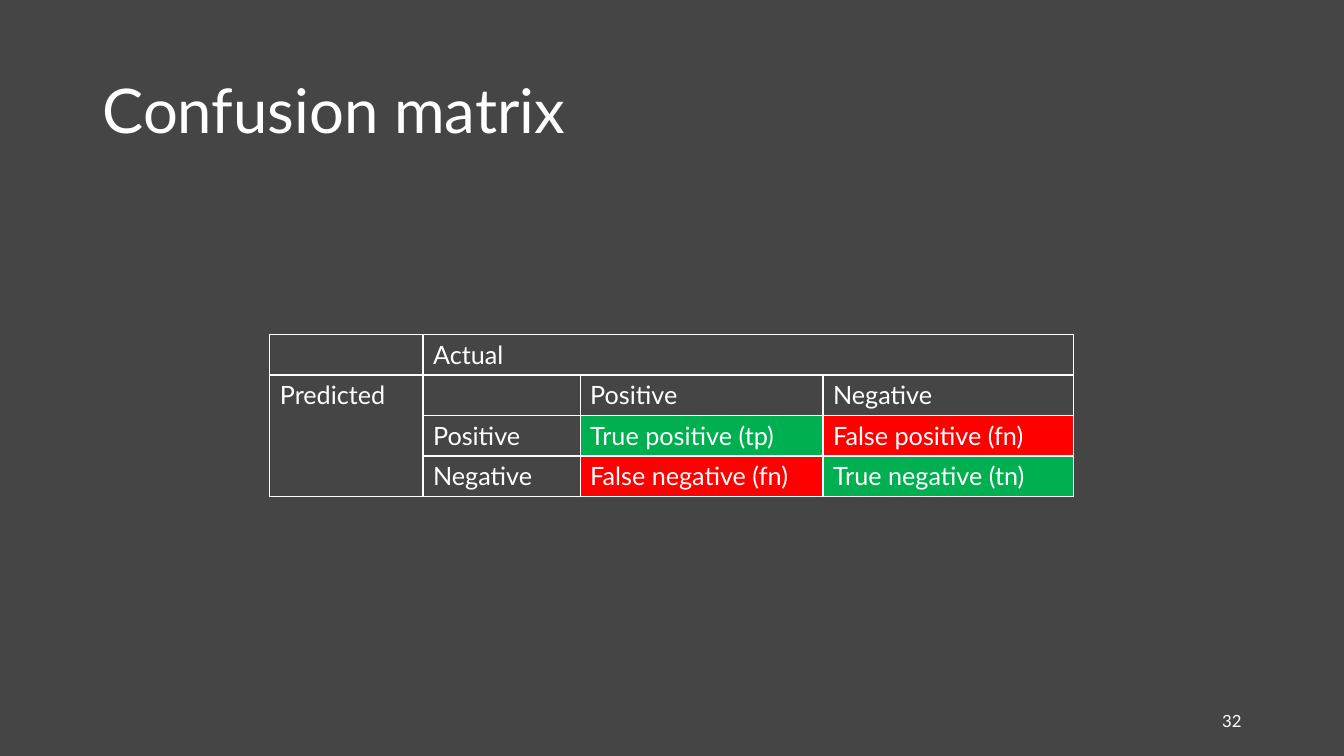
from pptx import Presentation
from pptx.dml.color import RGBColor as RGB
from pptx.enum.text import MSO_ANCHOR as Anchor, PP_ALIGN as Align
from pptx.oxml import parse_xml
from pptx.oxml.ns import nsdecls
from pptx.util import Cm, Pt

COLORS = {"back": "454545", "text": "FFFFFF", "right": "00B050", "wrong": "FF0000"}
FONT = "Lato"

COLUMN_WIDTHS = [3.86, 3.96, 6.12, 6.32]
ROW_HEIGHT = 1.02
MATRIX = [
    ["", "Actual", "", ""],
    ["Predicted", "", "Positive", "Negative"],
    ["", "Positive", "True positive (tp)", "False positive (fn)"],
    ["", "Negative", "False negative (fn)", "True negative (tn)"],
]
MERGES = [((0, 1), (0, 3)), ((1, 0), (3, 0))]


def write(tf, text, size=18, align=Align.LEFT, spacing=None):
    p = tf.paragraphs[0]
    p.alignment = align
    p.line_spacing = spacing
    r = p.add_run()
    r.text = text
    r.font.name = FONT
    r.font.size = Pt(size)
    r.font.color.rgb = RGB.from_string(COLORS["text"])


def outline(cell, color, width=1):
    """Draw a solid line on all four sides of a table cell."""
    tc_pr = cell._tc.get_or_add_tcPr()
    for side in "LRTB":
        tc_pr.append(parse_xml(
            f'<a:ln{side} {nsdecls("a")} w="{Pt(width)}"><a:solidFill>'
            f'<a:srgbClr val="{color}"/></a:solidFill></a:ln{side}>'))


class Deck:
    def __init__(self):
        self.prs = Presentation()
        self.prs.slide_width = Cm(33.87)
        self.prs.slide_height = Cm(19.05)

    def add_slide(self):
        self.slide = self.prs.slides.add_slide(self.prs.slide_layouts[5])
        fill = self.slide.background.fill
        fill.solid()
        fill.fore_color.rgb = RGB.from_string(COLORS["back"])

    def title(self, text, left, top, width, height):
        sp = self.slide.shapes.title
        sp.left, sp.top, sp.width, sp.height = map(Cm, (left, top, width, height))
        sp.text_frame.vertical_anchor = Anchor.MIDDLE
        write(sp.text_frame, text, size=44, spacing=0.9)

    def page_number(self, text, left, top, width, height):
        sp = self.slide.shapes.add_textbox(*map(Cm, (left, top, width, height)))
        tf = sp.text_frame
        tf.word_wrap = True
        tf.vertical_anchor = Anchor.MIDDLE
        write(tf, text, size=12, align=Align.RIGHT)

    def table(self, rows, left, top):
        size = sum(COLUMN_WIDTHS), ROW_HEIGHT * len(rows)
        table = self.slide.shapes.add_table(
            len(rows), len(COLUMN_WIDTHS), *map(Cm, (left, top, *size))).table
        table.first_row = table.horz_banding = False
        for column, width in zip(table.columns, COLUMN_WIDTHS):
            column.width = Cm(width)
        for row, texts in zip(table.rows, rows):
            row.height = Cm(ROW_HEIGHT)
            for cell, text in zip(row.cells, texts):
                self.cell(cell, text)
        for first, last in MERGES:
            table.cell(*first).merge(table.cell(*last))

    def cell(self, cell, text):
        outline(cell, COLORS["text"])
        if text.startswith(("True", "False")):
            cell.fill.solid()
            outcome = "right" if text.startswith("True") else "wrong"
            cell.fill.fore_color.rgb = RGB.from_string(COLORS[outcome])
        else:
            cell.fill.background()
        if text:
            write(cell.text_frame, text)


def main():
    deck = Deck()
    deck.add_slide()
    deck.title("Confusion matrix", 2.33, 1.01, 29.21, 3.68)
    deck.page_number("32", 23.92, 17.66, 7.62, 1.01)
    deck.table(MATRIX, 6.8, 8.43)
    deck.prs.save("out.pptx")


if __name__ == "__main__":
    main()
